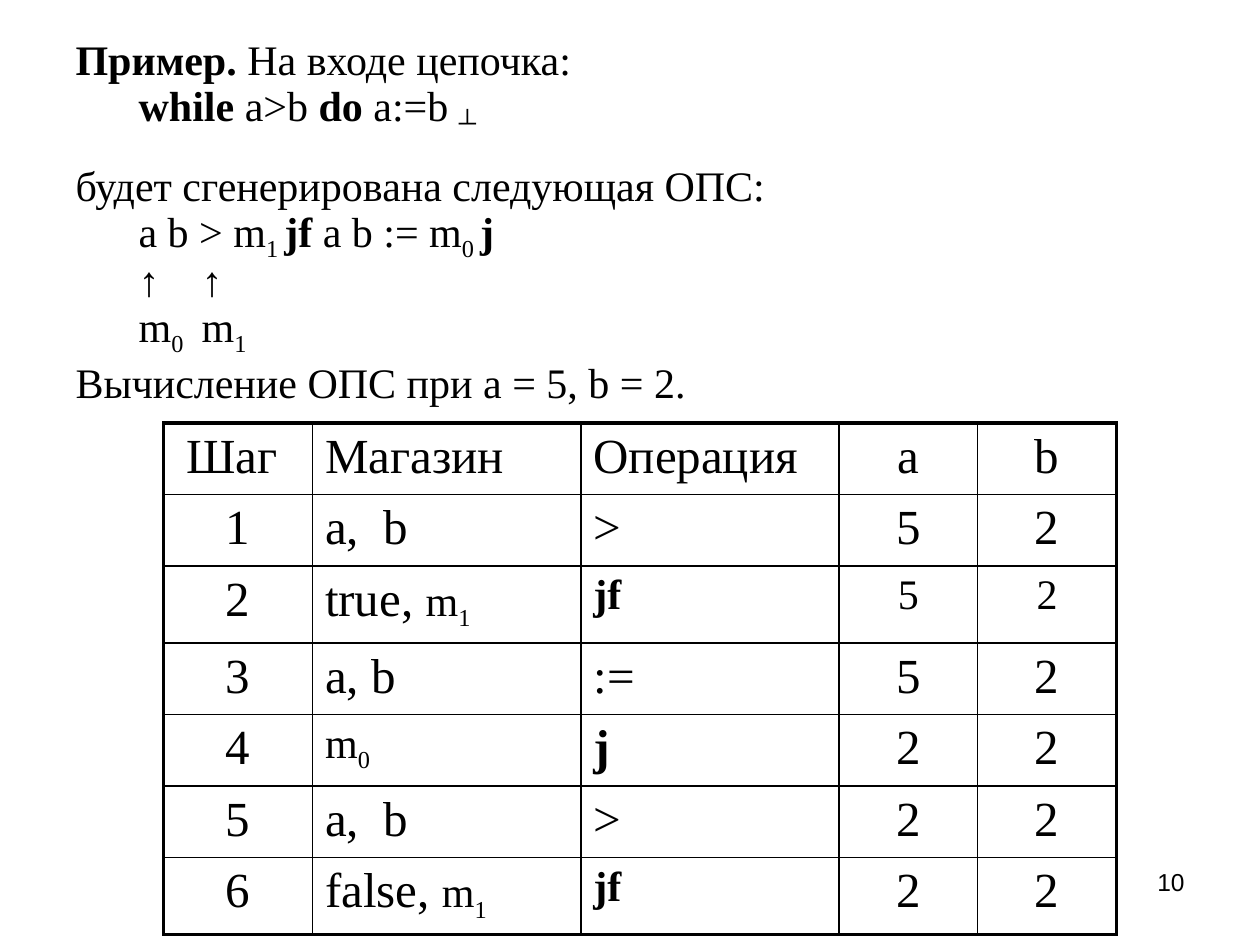
from lxml.etree import SubElement
from pptx import Presentation
from pptx.dml.color import RGBColor
from pptx.enum.text import MSO_AUTO_SIZE as AutoSize, PP_ALIGN as Align
from pptx.oxml.ns import qn
from pptx.util import Cm, Pt

SERIF = "Times New Roman"
BLACK = "000000"
STYLES = {
    "plain": {"size": Pt(24), "bold": False},
    "bold": {"size": Pt(24), "bold": True},
    "sub": {"size": Pt(24), "bold": False},
    "large": {"size": Pt(28), "bold": False},
    "large bold": {"size": Pt(28), "bold": True},
}

LINES = [
    (0, [], [("Пример.", "bold"), (" На входе цепочка:", "plain")]),
    (6.3, [6.03], [("\t", "plain"), ("while", "bold"), (" a>b ", "plain"),
                   ("do", "bold"), (" a:=b ", "plain"), ("┴", "sub")]),
    (17.7, [], [("будет сгенерирована следующая ОПС:", "plain")]),
    (6.3, [6.03], [("\ta b > m", "plain"), ("1 ", "sub"), ("jf", "bold"),
                   (" a b := m", "plain"), ("0 ", "sub"), ("j", "bold")]),
    (0, [3.48, 10.9], [("\t↑\t↑", "plain")]),
    (6.3, [5.83, 13.23], [("\tm", "plain"), ("0", "sub"), ("\tm", "plain"), ("1", "sub")]),
    (4, [], [("Вычисление ОПС при a = 5, b = 2.", "plain")]),
]

M0 = [("m", "plain"), ("0", "sub")]
M1 = [("m", "plain"), ("1", "sub")]
JF = [("jf", "bold")]
ROWS = [
    ["Шаг ", "Магазин", "Операция", "a", "b"],
    ["1", "a, \u00a0b".replace("\u00a0", " "), ">", "5", "2"],
    ["2", [("true, ", "large"), *M1], JF, [("5", "plain")], [("2", "plain")]],
    ["3", "a, b", ":=", "5", "2"],
    ["4", M0, [("j", "large bold")], "2", "2"],
    ["5", "a,  b", ">", "2", "2"],
    ["6", [("false, ", "large"), *M1], JF, "2", "2"],
]
WIDTHS = [3, 5.41, 5.2, 2.8, 2.8]
CENTRED = {0, 3, 4}


def color(value):
    """Turn a hex string into a colour."""
    return RGBColor.from_string(value)


def apply_format(target, values):
    """Set every attribute named in the dict."""
    for name, value in values.items():
        setattr(target, name, value)


def add_runs(paragraph, runs):
    """Append styled serif runs to a paragraph."""
    for text, style in runs:
        run = paragraph.add_run()
        run.text = text
        apply_format(run.font, {"name": SERIF, **STYLES[style]})
        run.font.color.rgb = color(BLACK)
        if style == "sub":
            run.font._element.set("baseline", "-25000")


def set_layout(paragraph, stops):
    """Remove the bullet and indent, and place the tab stops in centimetres."""
    properties = paragraph._p.get_or_add_pPr()
    apply_format(paragraph, {"line_spacing": Pt(24)})
    properties.set("marL", "0")
    properties.set("indent", "0")
    SubElement(properties, qn("a:buNone"))
    if stops:
        tabs = SubElement(properties, qn("a:tabLst"))
        for stop in stops:
            SubElement(tabs, qn("a:tab"), pos=str(int(Cm(stop))), algn="l")


def fill_body(shape):
    """Write the worked example into the body placeholder."""
    apply_format(shape, {"left": Cm(1.27), "top": Cm(0.71),
                         "width": Cm(22.86), "height": Cm(17.6)})
    frame = shape.text_frame
    apply_format(frame, {"auto_size": AutoSize.NONE, "word_wrap": True})
    for index, (before, stops, runs) in enumerate(LINES):
        paragraph = frame.add_paragraph() if index else frame.paragraphs[0]
        set_layout(paragraph, stops)
        paragraph.space_before = Pt(before)
        add_runs(paragraph, runs)


def set_borders(cell, widths):
    """Draw the left, right, top and bottom lines of a cell."""
    properties = cell._tc.get_or_add_tcPr()
    for index, (side, width) in enumerate(zip("LRTB", widths)):
        line = SubElement(properties, qn(f"a:ln{side}"), w=str(int(Pt(width))))
        fill = SubElement(line, qn("a:solidFill"))
        SubElement(fill, qn("a:srgbClr"), val=BLACK)
        properties.insert(index, line)


def add_steps_table(slide):
    """Add the table of evaluation steps with a heavy outer frame."""
    last_row, last_column = len(ROWS) - 1, len(WIDTHS) - 1
    table = slide.shapes.add_table(len(ROWS), len(WIDTHS), Cm(3.3), Cm(8.53),
                                   Cm(sum(WIDTHS)), Cm(1.44 * len(ROWS))).table
    apply_format(table, {"first_row": False, "horz_banding": False})
    for column, width in zip(table.columns, WIDTHS):
        column.width = Cm(width)
    for r, row in enumerate(ROWS):
        table.rows[r].height = Cm(1.44)
        for c, content in enumerate(row):
            cell = table.cell(r, c)
            cell.fill.background()
            edges = (c == 0, c == last_column, r == 0, r == last_row)
            set_borders(cell, [2.25 if edge else 1 for edge in edges])
            paragraph = cell.text_frame.paragraphs[0]
            paragraph.alignment = Align.CENTER if c in CENTRED else Align.LEFT
            add_runs(paragraph, [(content, "large")] if isinstance(content, str) else content)


def add_page_number(slide, number):
    """Add the page number at the lower right."""
    shape = slide.shapes.add_textbox(Cm(18.2), Cm(17.35), Cm(5.93), Cm(1.32))
    shape.text_frame.word_wrap = True
    paragraph = shape.text_frame.paragraphs[0]
    apply_format(paragraph, {"text": number, "alignment": Align.RIGHT})
    apply_format(paragraph.runs[0].font, {"name": "Arial", "size": Pt(14)})
    paragraph.runs[0].font.color.rgb = color(BLACK)


def main():
    """Build and save the slide."""
    presentation = Presentation()
    apply_format(presentation, {"slide_width": Cm(25.4), "slide_height": Cm(19.05)})
    slide = presentation.slides.add_slide(presentation.slide_layouts[1])
    title = slide.shapes.title._element
    title.getparent().remove(title)
    fill_body(slide.placeholders[1])
    add_page_number(slide, "10")
    add_steps_table(slide)
    presentation.save("out.pptx")


if __name__ == "__main__":
    main()
